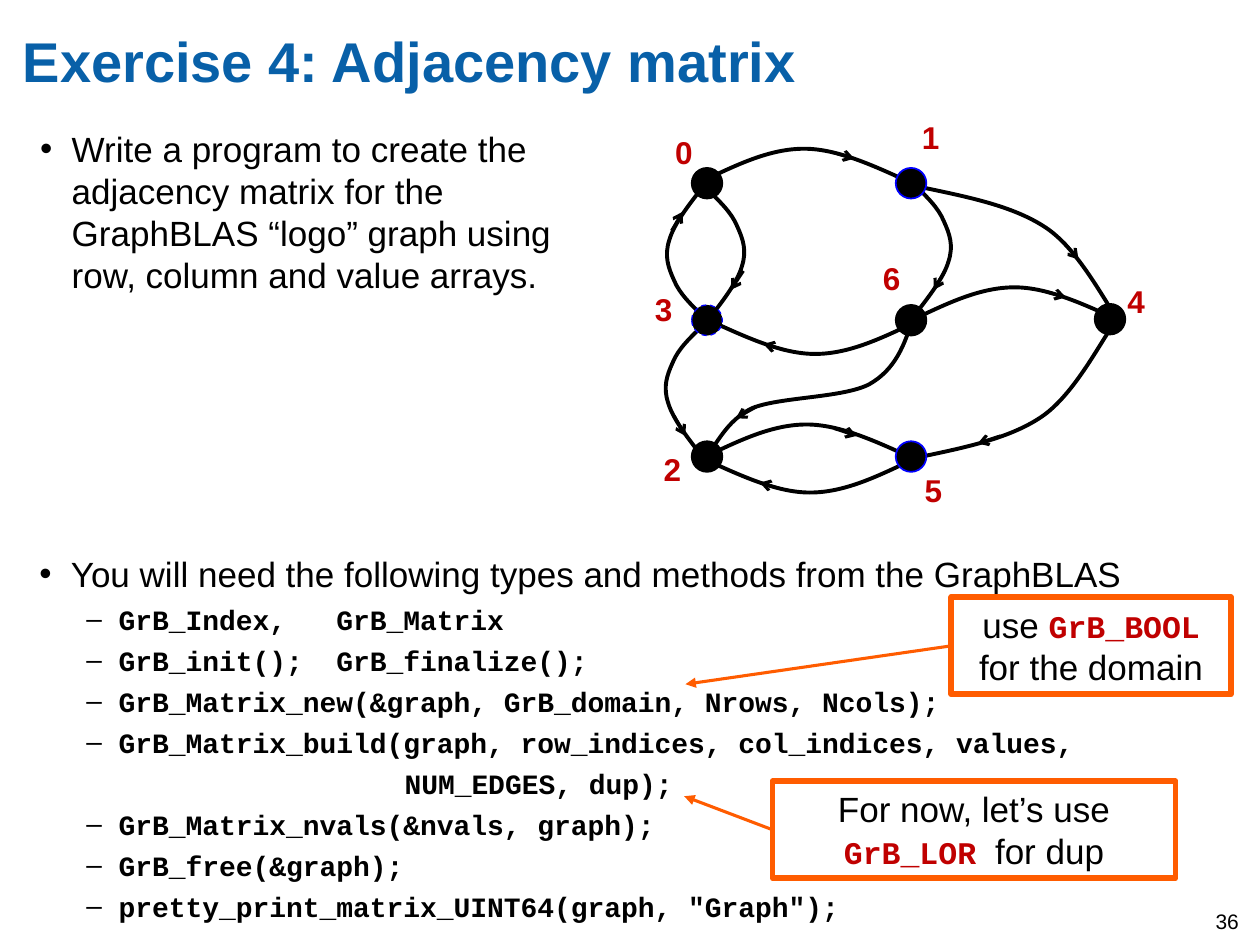
import pptx
import pptx.dml.color
import pptx.enum.dml
import pptx.enum.shapes
import pptx.enum.text
import pptx.oxml.ns
import pptx.util
from lxml import etree

Pt = pptx.util.Pt
qn = pptx.oxml.ns.qn
RGBColor = pptx.dml.color.RGBColor

BLACK = RGBColor(0x00, 0x00, 0x00)
TITLE_BLUE = RGBColor(0x08, 0x60, 0xA8)
NODE_BLUE = RGBColor(0x00, 0x00, 0xFF)
RED = RGBColor(0xC0, 0x00, 0x00)
ORANGE = RGBColor(0xFF, 0x5C, 0x00)

SANS = "Arial"
MONO = "Courier New"

# Bezier control points, relative to the start of an edge
ARCH = [(0, 0), (19, -9), (37.5, -18), (57, -18),
        (76.3, -18), (97.2, -8), (118, 1.4)]
SIDE = [(0, 0), (-7.2, -6.9), (-14.2, -13.5), (-17.3, -21.2),
        (-20.7, -28.6), (-23, -35.2), (-20, -44.3),
        (-17.3, -53.6), (-8.7, -64.6), (0, -75.7)]
FAN = [(0, 0), (-7.2, 8.8), (-22.9, 41.2), (-42.3, 54.1),
       (-61.7, 67.1), (-89.1, 72.1), (-116.4, 77.9)]
WAVE = [(0, 0), (5.1, -4.3), (10.8, -19.4), (25.9, -26.6),
        (41.8, -33.1), (77.8, -32.4), (92.9, -40.3),
        (108, -48.9), (113.1, -63.3), (117.4, -77)]

# curve, start, flips in x and y, direction arrow
EDGES = [
    (SIDE, (402.5, 181.4), (1, 1), (383.8, 131.8, 390.2, 121)),
    (SIDE, (403.9, 108), (-1, -1), (424.8, 154.8, 417.6, 165.6)),
    (ARCH, (402.5, 103), (1, 1), (475.9, 87.1, 488.2, 90.7)),
    (WAVE, (403.9, 259.9), (1, 1), (432, 232.6, 420.5, 239)),
    (ARCH, (522.7, 182.2), (1, 1), (596.2, 166.3, 609.1, 169.9)),
    (ARCH, (403.9, 260.6), (1, 1), (476.6, 244.8, 489.6, 249.1)),
    (ARCH, (519.8, 263.5), (-1, -1), (446.4, 279.4, 434.2, 275.8)),
    (ARCH, (522.7, 184.3), (-1, -1), (449.3, 200.2, 436.3, 196.6)),
    (SIDE, (401.8, 185.8), (1, -1), (385.2, 237.6, 391.7, 249.1)),
    (SIDE, (522, 105.1), (-1, -1), (540, 154.8, 533.5, 165.6)),
    (FAN, (637.2, 184.3), (1, 1), (571.7, 249.1, 558.7, 253.4)),
    (FAN, (640.1, 184.3), (1, -1), (607.7, 138.2, 616.3, 148.3)),
]

# label, node centre, label corner, outline colour
NODES = [
    ("0", (404, 104.7), (378.7, 72.7), BLACK),
    ("1", (520.6, 104.7), (519.8, 64.1), NODE_BLUE),
    ("2", (404, 260.9), (372.2, 253.4), BLACK),
    ("3", (404, 183), (367.2, 162), NODE_BLUE),
    ("4", (634.3, 182.4), (637.2, 157.7), BLACK),
    ("5", (520.6, 260.9), (521.3, 265.7), NODE_BLUE),
    ("6", (520.6, 183), (497.5, 144.7), BLACK),
]
NODE_SIZE = 17.5

METHODS = [
    "GrB_Index,   GrB_Matrix",
    "GrB_init();  GrB_finalize();",
    "GrB_Matrix_new(&graph, GrB_domain, Nrows, Ncols);",
    "GrB_Matrix_build(graph, row_indices, col_indices, values,",
    "                   NUM_EDGES, dup);",
    "GrB_Matrix_nvals(&nvals, graph);",
    "GrB_free(&graph);",
    'pretty_print_matrix_UINT64(graph, "Graph");',
]


def set_font(font, size, name=SANS, color=BLACK, bold=False):
    font.size = Pt(size)
    font.name = name
    font.bold = bold
    font.color.rgb = color


def add_text_frame(shapes, left, top, width, height, inset=True, wrap=True):
    box = shapes.add_textbox(Pt(left), Pt(top), Pt(width), Pt(height))
    frame = box.text_frame
    frame.word_wrap = wrap
    if not inset:
        frame.margin_left = frame.margin_right = 0
        frame.margin_top = frame.margin_bottom = 0
    return frame


def set_indent(paragraph, margin, hanging=0, bullet=None):
    properties = paragraph._p.get_or_add_pPr()
    properties.set("marL", str(Pt(margin)))
    properties.set("indent", str(Pt(-hanging)))
    if bullet:
        etree.SubElement(properties, qn("a:buFont"), typeface=SANS)
        etree.SubElement(properties, qn("a:buChar"), char=bullet)


def add_bullet_point(paragraph, text):
    paragraph.text = text
    set_indent(paragraph, 18, 18, "•")
    set_font(paragraph.font, 20)


def add_method_list(frame):
    for method in METHODS:
        paragraph = frame.add_paragraph()
        paragraph.text = method
        paragraph.level = 1
        paragraph.space_before = Pt(4.25)
        if method.startswith(" "):
            set_indent(paragraph, 26.8)
        else:
            set_indent(paragraph, 45.3, 18.5, "–")
        set_font(paragraph.font, 16, MONO, bold=True)


def add_arrow(shapes, start_x, start_y, end_x, end_y, color, head):
    arrow = shapes.add_connector(
        pptx.enum.shapes.MSO_CONNECTOR.STRAIGHT,
        Pt(start_x), Pt(start_y), Pt(end_x), Pt(end_y))
    arrow.line.color.rgb = color
    arrow.line.width = Pt(1.75)
    etree.SubElement(arrow.line._get_or_add_ln(), qn("a:tailEnd"), type=head)
    etree.SubElement(arrow.element.spPr, qn("a:effectLst"))


def add_curve(shapes, points):
    """Draw a chain of cubic Beziers: a start, then three points for each."""
    corners = [(Pt(x), Pt(y)) for x, y in points]
    builder = shapes.build_freeform(*corners[0], scale=1.0)
    builder.add_line_segments(corners[1:], close=False)
    curve = builder.convert_to_shape()
    outline = curve.element.find(".//" + qn("a:path"))
    segments = outline.findall(qn("a:lnTo"))
    for first in range(0, len(segments), 3):
        bezier = etree.SubElement(outline, qn("a:cubicBezTo"))
        for segment in segments[first:first + 3]:
            bezier.append(segment[0])
            outline.remove(segment)
    curve.shadow.inherit = False
    curve.fill.background()
    curve.line.color.rgb = BLACK
    curve.line.width = Pt(2.25)


def add_node(shapes, label, center, corner, outline_color):
    left, top = (value - NODE_SIZE / 2 for value in center)
    node = shapes.add_shape(pptx.enum.shapes.MSO_SHAPE.OVAL, Pt(left), Pt(top),
                            Pt(NODE_SIZE), Pt(NODE_SIZE))
    node.shadow.inherit = False
    node.fill.solid()
    node.fill.fore_color.rgb = BLACK
    node.line.color.rgb = outline_color
    node.line.width = Pt(1)
    if label == "3":
        node.line.width = Pt(0.75)
        node.line.dash_style = pptx.enum.dml.MSO_LINE.DASH
    frame = add_text_frame(shapes, *corner, 24.5, 29, wrap=False)
    frame.text = label
    set_font(frame.paragraphs[0].font, 18, color=RED, bold=True)


def add_graph(slide):
    shapes = slide.shapes.add_group_shape().shapes
    for curve, (x, y), (flip_x, flip_y), arrow in EDGES:
        add_arrow(shapes, *arrow, BLACK, "arrow")
        add_curve(shapes, [(x + flip_x * dx, y + flip_y * dy) for dx, dy in curve])
    for node in NODES:
        add_node(shapes, *node)


def add_callout(slide, left, top, width, before, code, after, target):
    height = 55.5
    box = slide.shapes.add_shape(pptx.enum.shapes.MSO_SHAPE.RECTANGLE,
                                 Pt(left), Pt(top), Pt(width), Pt(height))
    box.shadow.inherit = False
    box.fill.background()
    box.line.color.rgb = ORANGE
    box.line.width = Pt(3.25)
    box.text_frame.word_wrap = True
    paragraph = box.text_frame.paragraphs[0]
    paragraph.alignment = pptx.enum.text.PP_ALIGN.CENTER
    for text in (before, code, after):
        run = paragraph.add_run()
        run.text = text
        if text == code:
            set_font(run.font, 18, MONO, RED, True)
        else:
            set_font(run.font, 20)
    add_arrow(slide.shapes, left, top + height / 2, *target, ORANGE, "triangle")


def main():
    presentation = pptx.Presentation()
    presentation.slide_width, presentation.slide_height = Pt(720), Pt(540)
    slide = presentation.slides.add_slide(presentation.slide_layouts[6])

    title = add_text_frame(slide.shapes, 13, 15, 649, 70, inset=False)
    title.text = "Exercise 4: Adjacency matrix"
    set_font(title.paragraphs[0].font, 32, color=TITLE_BLUE, bold=True)

    task = add_text_frame(slide.shapes, 23, 73, 330.5, 175.5, inset=False)
    add_bullet_point(task.paragraphs[0],
                     "Write a program to create the adjacency matrix for the "
                     "GraphBLAS “logo” graph using row, column and value arrays.")

    number = add_text_frame(slide.shapes, 687.5, 515.5, 32.5, 24)
    number.text = "36"
    set_font(number.paragraphs[0].font, 12)

    methods = add_text_frame(slide.shapes, 22.5, 316, 677.5, 224, inset=False)
    add_bullet_point(methods.paragraphs[0],
                     "You will need the following types and methods from the GraphBLAS")
    add_method_list(methods)

    add_graph(slide)
    add_callout(slide, 441.4, 446.4, 230.4,
                "For now, let’s use ", "GrB_LOR ", "for dup", (391, 455))
    add_callout(slide, 543.6, 341.3, 159.8,
                "use ", "GrB_BOOL ", "for the domain", (391.7, 391))
    presentation.save("out.pptx")


if __name__ == "__main__":
    main()
